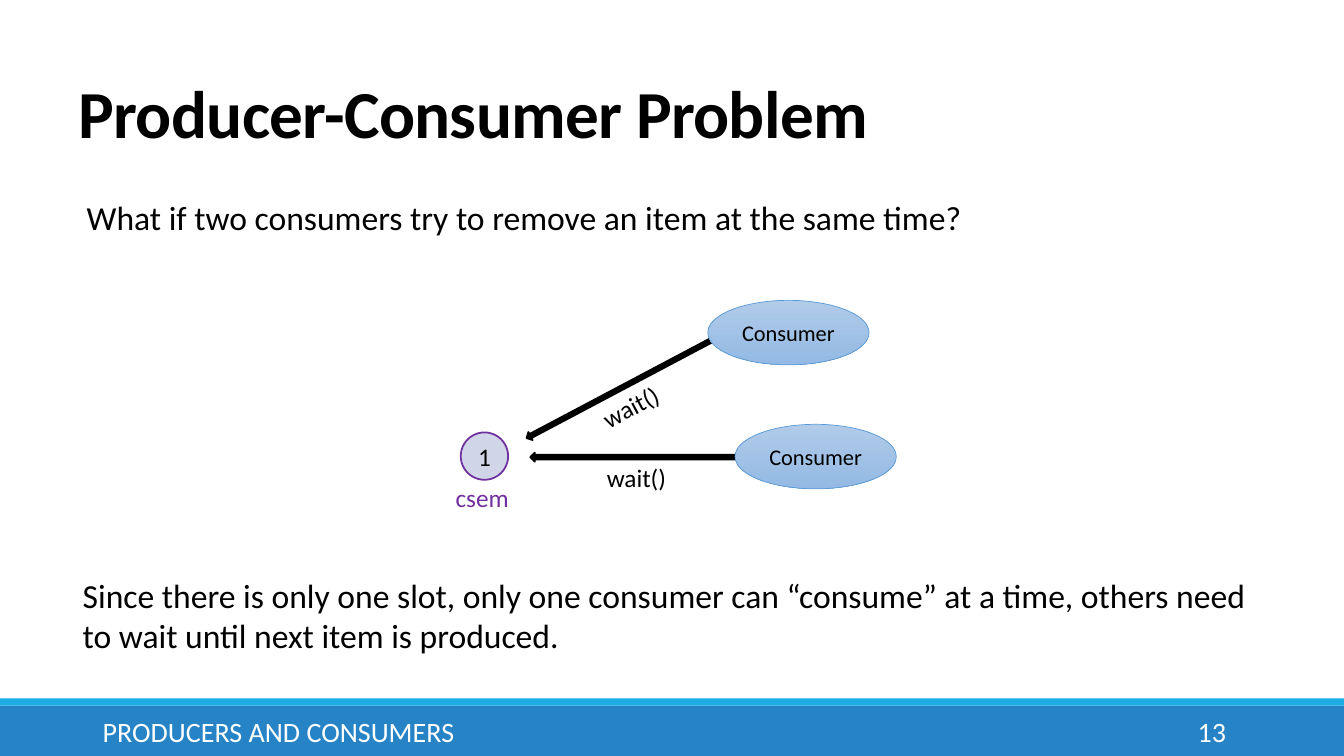
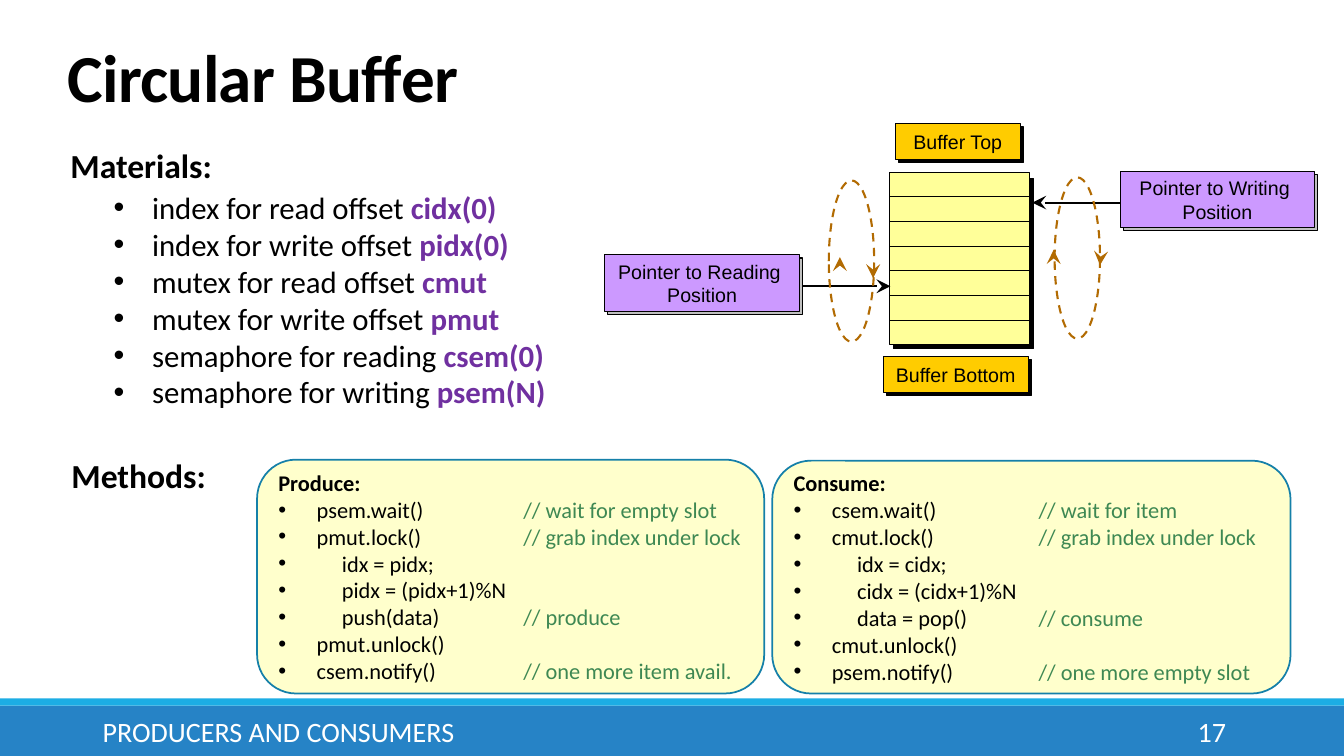
"""Builds two slides on producers and consumers: the two-consumer case and the circular buffer."""
from dataclasses import dataclass

from lxml.etree import SubElement
from pptx import Presentation
from pptx.dml.color import RGBColor
from pptx.enum.dml import MSO_LINE
from pptx.enum.shapes import MSO_CONNECTOR, MSO_SHAPE
from pptx.enum.text import MSO_ANCHOR, MSO_AUTO_SIZE, PP_ALIGN
from pptx.oxml.ns import qn
from pptx.util import Inches, Pt


@dataclass(frozen=True)
class Theme:
    """Colours, fonts and type sizes of the deck."""
    ink: str = "000000"
    paper: str = "FFFFFF"
    band: str = "2683C6"
    stripe: str = "1CADE4"
    accent: str = "7030A0"
    semaphore: str = "D0D5E7"
    consumer_top: str = "B1CBE9"
    consumer_bottom: str = "93B9E4"
    consumer_line: str = "5B9BD5"
    gold: str = "FFCC00"
    buffer: str = "FFFF99"
    pointer: str = "CC99FF"
    pointer_shadow: str = "C0C0C0"
    cycle: str = "B26B02"
    panel: str = "FFFFCC"
    panel_line: str = "1580A9"
    comment: str = "3E8853"
    text_font: str = "Calibri"
    label_font: str = "Arial"
    title: int = 48
    body: int = 24
    listing: int = 22
    footer: int = 20
    note: int = 18
    code: int = 16
    label: int = 14


THEME = Theme()
SLIDE_SIZE = (13.33, 7.5)
BANDS = [((0, 7, 13.33, 0.5), THEME.band), ((0, 6.93, 13.33, 0.07), THEME.stripe)]
FOOTER = "PRODUCERS AND CONSUMERS"

PROBLEM = {"title": "Producer-Consumer Problem", "title_at": (0.68, 0.71), "number": "13"}
STATEMENTS = [
    ("What if two consumers try to remove an item at the same time?", (0.86, 1.9, 11, 0.5)),
    ("Since there is only one slot, only one consumer can “consume” at a time, "
     "others need to wait until next item is produced.", (0.82, 5.65, 11.82, 0.91)),
]
CONSUMERS = [
    {"oval": (7.29, 4.21), "arrow": (5.26, 4.49), "wait": (5.92, 4.54), "tilt": 0},
    {"oval": (7.02, 2.98), "arrow": (5.1, 3.81), "wait": (5.86, 3.83), "tilt": -27.9},
]

CIRCULAR = {"title": "Circular Buffer", "title_at": (0.57, 0.35), "number": "17"}
HEADINGS = [("Materials:", (0.6, 1.39, 3, 0.5)), ("Methods:", (0.61, 4.46, 1.9, 0.5))]
MATERIALS = [
    ("index for read offset ", "cidx(0)"),
    ("index for write offset ", "pidx(0)"),
    ("mutex for read offset ", "cmut"),
    ("mutex for write offset ", "pmut"),
    ("semaphore for reading ", "csem(0)"),
    ("semaphore for writing ", "psem(N)"),
]
METHODS = [
    ("Produce:", (2.55, 4.56, 5.03, 2.32), [
        (0, "psem.wait()", "// wait for empty slot"),
        (0, "pmut.lock()", "// grab index under lock"),
        (1, "idx = pidx;", ""),
        (1, "pidx = (pidx+1)%N", ""),
        (1, "push(data)", "// produce"),
        (0, "pmut.unlock()", ""),
        (0, "csem.notify()", "// one more item avail."),
    ]),
    ("Consume:", (7.66, 4.57, 5.14, 2.31), [
        (0, "csem.wait()", "// wait for item"),
        (0, "cmut.lock()", "// grab index under lock"),
        (1, "idx = cidx;", ""),
        (1, "cidx = (cidx+1)%N", ""),
        (1, "data = pop()", "// consume"),
        (0, "cmut.unlock()", ""),
        (0, "psem.notify()", "// one more empty slot"),
    ]),
]
HANG, NESTING, COMMENT_TAB = 0.38, 0.25, 2.43
BUFFER_BOX, BUFFER_ROWS = (8.82, 1.71, 1.39, 1.71), 7
LABELS = [
    ("Buffer Top", (8.88, 1.23, 1.24, 0.35), THEME.gold, THEME.ink),
    ("Buffer Bottom", (8.76, 3.54, 1.44, 0.35), THEME.gold, THEME.ink),
    ("Pointer to Reading \nPosition", (6, 2.53, 1.93, 0.56), THEME.pointer, THEME.pointer_shadow),
    ("Pointer to Writing \nPosition", (11.11, 1.7, 1.93, 0.56), THEME.pointer, THEME.pointer_shadow),
]
POINTERS = [((7.68, 2.84), (8.83, 2.84)), ((11.62, 2.01), (10.24, 2.01))]
CYCLES = [(8.22, 1.79, 0.45, 1.6), (10.46, 1.76, 0.45, 1.6)]
CYCLE_HEADS = [
    ((10.45, 2.6), (10.45, 2.48)),
    ((8.33, 2.68), (8.33, 2.55)),
    ((8.66, 2.63), (8.66, 2.76)),
    ((10.92, 2.5), (10.91, 2.63)),
]


def apply(target, values):
    """Set each named attribute of the target."""
    for name, value in values.items():
        setattr(target, name, value)


def rgb(colour):
    """Return a colour object for a hex string."""
    return RGBColor.from_string(colour)


def inches(values):
    """Turn plain numbers into lengths."""
    return [Inches(value) for value in values]


def write(shape, paragraphs, size, font=THEME.text_font, colour=THEME.ink, frame=None, layout=None):
    """Fill a shape with paragraphs, each a list of (text, colour, bold) runs."""
    text_frame = shape.text_frame
    apply(text_frame, {"word_wrap": True, **(frame or {})})
    for index, runs in enumerate(paragraphs):
        paragraph = text_frame.paragraphs[0] if index == 0 else text_frame.add_paragraph()
        apply(paragraph, {"alignment": PP_ALIGN.LEFT, **(layout or {})})
        for text, run_colour, bold in runs:
            for line_index, line in enumerate(text.split("\n")):
                if line_index:
                    paragraph.add_line_break()
                run = paragraph.add_run()
                run.text = line
                apply(run.font, {"name": font, "size": Pt(size), "bold": bold})
                run.font.color.rgb = rgb(run_colour or colour)
    return text_frame


def plain(text, bold=False):
    """Return one paragraph holding one run."""
    return [[(text, None, bold)]]


def add_text(slide, box, paragraphs, size, **options):
    """Add a text box."""
    return write(slide.shapes.add_textbox(*inches(box)), paragraphs, size, **options)


def add_note(slide, box, text, colour=THEME.ink, rotation=0):
    """Add a short unwrapped note."""
    note = slide.shapes.add_textbox(*inches(box))
    note.rotation = rotation
    write(note, plain(text), THEME.note, colour=colour,
          frame={"word_wrap": False, "auto_size": MSO_AUTO_SIZE.SHAPE_TO_FIT_TEXT})


def add_figure(slide, kind, box, fill=None, line=None, width=0.75):
    """Add a flat preset shape."""
    figure = slide.shapes.add_shape(kind, *inches(box))
    figure.shadow.inherit = False
    if fill:
        figure.fill.solid()
        figure.fill.fore_color.rgb = rgb(fill)
    else:
        figure.fill.background()
    if line:
        figure.line.color.rgb = rgb(line)
        figure.line.width = Pt(width)
    else:
        figure.line.fill.background()
    return figure


def add_line(slide, start, end, colour=THEME.ink, width=0.75, arrow=False):
    """Add a straight line, with an arrowhead at its end if asked."""
    line = slide.shapes.add_connector(MSO_CONNECTOR.STRAIGHT, *inches(start + end))
    line.line.color.rgb = rgb(colour)
    line.line.width = Pt(width)
    if arrow:
        SubElement(line.line._get_or_add_ln(), qn("a:tailEnd"), type="stealth", w="lg", len="lg")
    SubElement(line.element.spPr, qn("a:effectLst"))


def add_bullet(paragraph, indent=HANG, tab=None):
    """Give a paragraph a hanging bullet and an optional tab stop."""
    properties = paragraph._p.get_or_add_pPr()
    properties.set("marL", str(Inches(indent)))
    properties.set("indent", str(-Inches(indent)))
    SubElement(properties, qn("a:buFont"), typeface=THEME.label_font)
    SubElement(properties, qn("a:buChar"), char="•")
    if tab:
        stops = SubElement(properties, qn("a:tabLst"))
        SubElement(stops, qn("a:tab"), pos=str(Inches(tab)), algn="l")


def add_slide(deck, heading):
    """Add a slide with its bands, title and footer."""
    slide = deck.slides.add_slide(deck.slide_layouts[5])
    for box, colour in BANDS:
        add_figure(slide, MSO_SHAPE.RECTANGLE, box, colour)
    title = slide.shapes.title
    place = inches(heading["title_at"] + (11, 0.85))
    apply(title, dict(zip(("left", "top", "width", "height"), place)))
    write(title, plain(heading["title"], True), THEME.title, layout={"line_spacing": 0.85},
          frame={"vertical_anchor": MSO_ANCHOR.BOTTOM, "auto_size": MSO_AUTO_SIZE.NONE})
    title.text_frame.paragraphs[0].runs[0].font._element.set("spc", "-50")
    for text, box, side in ((FOOTER, (0.92, 7.06, 8.39, 0.4), PP_ALIGN.LEFT),
                            (heading["number"], (10.83, 7.06, 1.43, 0.4), PP_ALIGN.RIGHT)):
        add_text(slide, box, plain(text), THEME.footer, colour=THEME.paper,
                 frame={"vertical_anchor": MSO_ANCHOR.MIDDLE}, layout={"alignment": side})
    return slide


def build_problem(deck):
    """Draw two consumers waiting on one semaphore."""
    slide = add_slide(deck, PROBLEM)
    middle = {"frame": {"vertical_anchor": MSO_ANCHOR.MIDDLE},
              "layout": {"alignment": PP_ALIGN.CENTER}}
    for statement, box in STATEMENTS:
        add_text(slide, box, plain(statement), THEME.body,
                 frame={"margin_left": 0, "margin_right": 0}, layout={"space_after": Pt(6)})
    semaphore = add_figure(slide, MSO_SHAPE.OVAL, (4.57, 4.29, 0.47, 0.47),
                           THEME.semaphore, THEME.accent, 1.25)
    write(semaphore, plain("1"), THEME.note, **middle)
    add_note(slide, (4.42, 4.74, 0.73, 0.4), "csem", THEME.accent)
    for consumer in CONSUMERS:
        arrow = add_figure(slide, MSO_SHAPE.LEFT_ARROW, consumer["arrow"] + (2.1, 0.09),
                           THEME.ink, THEME.ink, 1.25)
        arrow.rotation = consumer["tilt"]
        add_note(slide, consumer["wait"] + (0.8, 0.4), "wait()", rotation=consumer["tilt"])
        oval = add_figure(slide, MSO_SHAPE.OVAL, consumer["oval"] + (1.6, 0.64),
                          THEME.consumer_top, THEME.consumer_line, 0.5)
        oval.fill.gradient()
        oval.fill.gradient_angle = 270
        for stop, colour in zip(oval.fill.gradient_stops,
                                (THEME.consumer_top, THEME.consumer_bottom)):
            stop.color.rgb = rgb(colour)
        write(oval, plain("Consumer"), THEME.code, **middle)


def draw_buffer(slide):
    """Draw the buffer, its labels, pointers and cycles."""
    left, top, width, height = BUFFER_BOX
    add_figure(slide, MSO_SHAPE.RECTANGLE, (left + 0.04, top + 0.06, width, height - 0.02),
               THEME.ink, THEME.ink)
    add_figure(slide, MSO_SHAPE.RECTANGLE, BUFFER_BOX, THEME.buffer, THEME.ink)
    for row in range(1, BUFFER_ROWS):
        level = top + row * height / BUFFER_ROWS
        add_line(slide, (left, level), (left + width, level))
    for start, end in POINTERS:
        add_line(slide, start, end, width=1.5, arrow=True)
    for text, box, fill, shadow in LABELS:
        offset = (box[0] + 0.03, box[1] + 0.03) + box[2:]
        add_figure(slide, MSO_SHAPE.RECTANGLE, offset, shadow, THEME.ink)
        label = add_figure(slide, MSO_SHAPE.RECTANGLE, box, fill, THEME.ink)
        write(label, plain(text), THEME.label, THEME.label_font,
              frame={"word_wrap": False, "vertical_anchor": MSO_ANCHOR.MIDDLE},
              layout={"alignment": PP_ALIGN.CENTER})
    for box in CYCLES:
        cycle = add_figure(slide, MSO_SHAPE.OVAL, box, line=THEME.cycle, width=1.5)
        cycle.line.dash_style = MSO_LINE.DASH
    for start, end in CYCLE_HEADS:
        add_line(slide, start, end, THEME.cycle, 0, arrow=True)


def build_circular(deck):
    """Lay out the buffer, its materials and its methods."""
    slide = add_slide(deck, CIRCULAR)
    draw_buffer(slide)
    for heading, box in HEADINGS:
        add_text(slide, box, plain(heading, True), THEME.body)
    materials = [[(use, None, False), (name, THEME.accent, True)] for use, name in MATERIALS]
    listing = add_text(slide, (1.03, 1.82, 4.9, 2.32), materials, THEME.listing)
    for paragraph in listing.paragraphs:
        add_bullet(paragraph)
    for name, box, steps in METHODS:
        panel = add_figure(slide, MSO_SHAPE.ROUNDED_RECTANGLE, box,
                           THEME.panel, THEME.panel_line, 1.25)
        lines = plain(name, True)
        for depth, code, comment in steps:
            remark = [("\t" + comment, THEME.comment, False)] if comment else []
            lines.append([(code, None, False)] + remark)
        body = write(panel, lines, THEME.code,
                     frame={"vertical_anchor": MSO_ANCHOR.MIDDLE, "margin_right": 0})
        for paragraph, (depth, code, comment) in zip(body.paragraphs[1:], steps):
            add_bullet(paragraph, HANG + depth * NESTING, COMMENT_TAB if comment else None)


deck = Presentation()
deck.slide_width, deck.slide_height = inches(SLIDE_SIZE)
build_problem(deck)
build_circular(deck)
deck.save("out.pptx")
